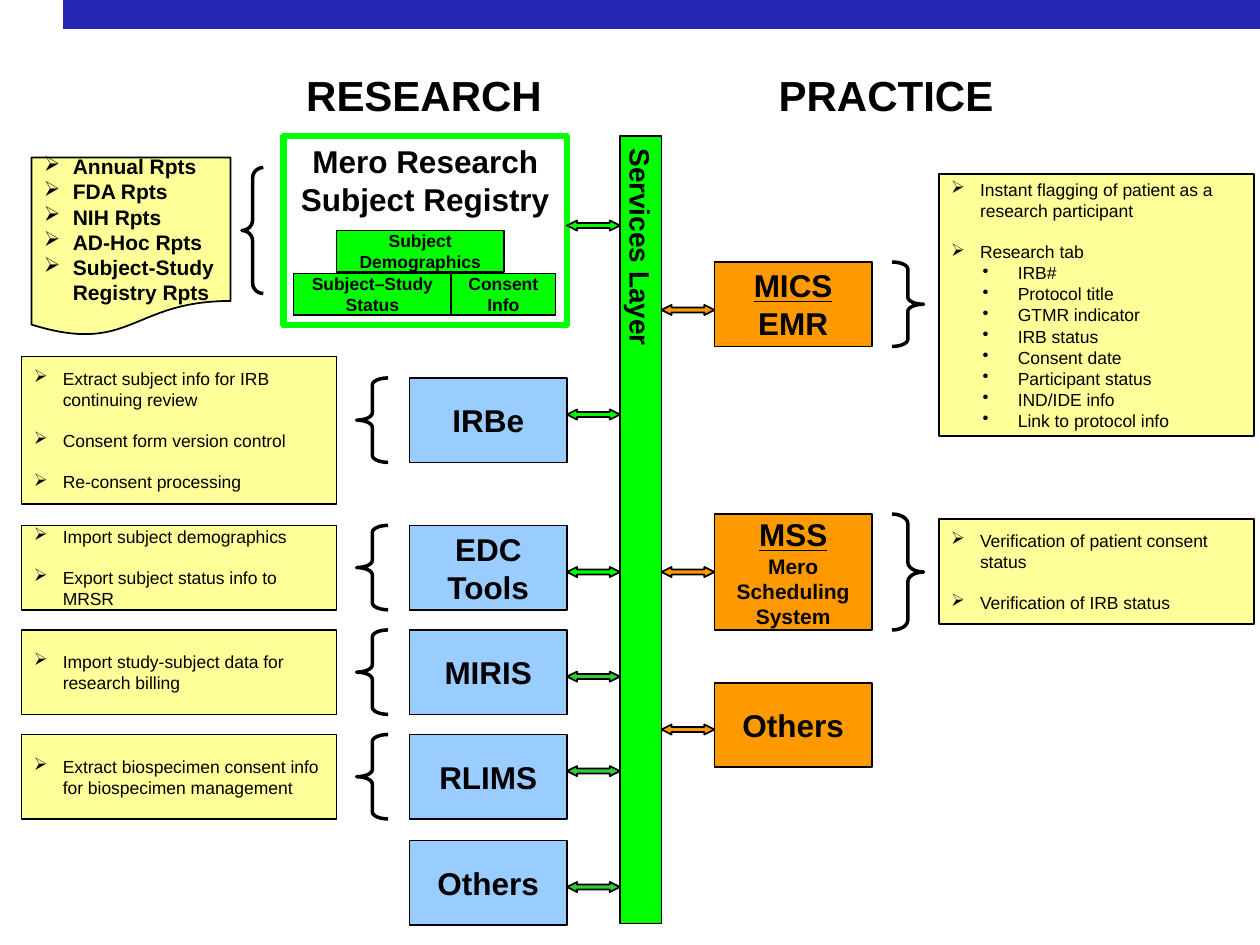
import pptx
import pptx.util
import pptx.dml.color
import pptx.enum.shapes
import pptx.enum.text
import pptx.oxml.ns
import lxml.etree

Inches = pptx.util.Inches
Pt = pptx.util.Pt
SHAPE = pptx.enum.shapes.MSO_SHAPE
ALIGN = pptx.enum.text.PP_ALIGN
ANCHOR = pptx.enum.text.MSO_ANCHOR
qn = pptx.oxml.ns.qn

COLORS = {
    "band": "2727B3", "ink": "000000", "hub": "00FF00", "link": "33CC33",
    "note": "FFFF99", "research": "99CCFF", "practice": "FF9900",
}

# placeholder index, text, left
HEADINGS = [(1, "RESEARCH", 2.33), (3, "PRACTICE", 6.08)]

REGISTRY = ("Mero Research Subject Registry", (2.25, 1.08, 2.25, 1.5))
REGISTRY_PARTS = [
    ("Subject Demographics", (2.67, 1.83, 1.33, 0.33)),
    ("Subject–Study Status", (2.33, 2.17, 1.25, 0.33)),
    ("Consent Info", (3.58, 2.17, 0.83, 0.33)),
]
REPORTS = ["Annual Rpts", "FDA Rpts", "NIH Rpts", "AD-Hoc Rpts", "Subject-Study Registry Rpts"]

# name, top, notes, notes top, notes height
RESEARCH_SYSTEMS = [
    ("IRBe", 3, ["Extract subject info for IRB continuing review",
                 "Consent form version control", "Re-consent processing"], 2.83, 1.17),
    ("EDC Tools", 4.17, ["Import subject demographics",
                         "Export subject status info to MRSR"], 4.17, 0.67),
    ("MIRIS", 5, ["Import study-subject data for research billing"], 5, 0.67),
    ("RLIMS", 5.83, ["Extract biospecimen consent info for biospecimen management"], 5.83, 0.67),
    ("Others", 6.67, [], 0, 0),
]
RESEARCH_TAB = ["IRB#", "Protocol title", "GTMR indicator", "IRB status", "Consent date",
                "Participant status", "IND/IDE info", "Link to protocol info"]

# name, subtitle, subtitle size, top, height, notes, notes top, notes height
PRACTICE_SYSTEMS = [
    ("MICS", "EMR", 18, 2.08, 0.67,
     ["Instant flagging of patient as a research participant", "Research tab", RESEARCH_TAB],
     1.38, 2.08),
    ("MSS", "Mero Scheduling System", 12, 4.08, 0.92,
     ["Verification of patient consent status", "Verification of IRB status"], 4.12, 0.83),
    ("Others", "", 18, 5.42, 0.67, [], 0, 0),
]

# colour, left, tops
LINKS = [
    ("hub", 4.5, [1.75, 3.25, 4.5]),
    ("link", 4.5, [5.33, 6.08, 7]),
    ("practice", 5.25, [2.42, 4.5, 5.75]),
]


def rgb(color):
    return pptx.dml.color.RGBColor.from_string(COLORS[color])


def add_box(place, fill=None, line="ink", width=1, kind=SHAPE.FLOWCHART_PROCESS):
    box = slide.shapes.add_shape(kind, *map(Inches, place))
    box.shadow.inherit = False
    if fill:
        box.fill.solid()
        box.fill.fore_color.rgb = rgb(fill)
    else:
        box.fill.background()
    if line:
        box.line.color.rgb = rgb(line)
        box.line.width = Pt(width)
    else:
        box.line.fill.background()
    return box


def set_frame(shape, anchor=ANCHOR.MIDDLE):
    layout = {"word_wrap": True, "vertical_anchor": anchor,
              "auto_size": pptx.enum.text.MSO_AUTO_SIZE.NONE,
              "margin_left": Inches(0.1), "margin_right": Inches(0.1),
              "margin_top": Inches(0.05), "margin_bottom": Inches(0.05)}
    for name, value in layout.items():
        setattr(shape.text_frame, name, value)


def write_line(shape, text, size, align=ALIGN.CENTER, bold=True, underline=False):
    """Fill the empty first paragraph, or append one, and return it."""
    frame = shape.text_frame
    paragraph = frame.paragraphs[0] if not frame.text else frame.add_paragraph()
    paragraph.alignment = align
    paragraph.space_before = Pt(0)
    run = paragraph.add_run()
    run.text = text
    look = {"name": "Arial", "size": Pt(size), "bold": bold, "underline": underline}
    for name, value in look.items():
        setattr(run.font, name, value)
    run.font.color.rgb = rgb("ink")
    return paragraph


def write_bullet(shape, text, size, bold, mark, left, hanging):
    paragraph = write_line(shape, text, size, ALIGN.LEFT, bold)
    properties = paragraph._p.get_or_add_pPr()
    properties.set("marL", str(Inches(left)))
    properties.set("indent", str(-Inches(hanging)))
    bullet_color = lxml.etree.SubElement(properties, qn("a:buClr"))
    lxml.etree.SubElement(bullet_color, qn("a:srgbClr"), val=COLORS["ink"])
    lxml.etree.SubElement(properties, qn("a:buChar"), char=mark)
    return paragraph


def write_notes(shape, notes, size=10, bold=False, gap=11.5):
    """Write arrow bullets a gap apart; a nested list becomes dot bullets."""
    set_frame(shape)
    for index, note in enumerate(notes):
        if isinstance(note, list):
            for item in note:
                write_bullet(shape, item, size, bold, "•", 0.53, 0.28)
        else:
            paragraph = write_bullet(shape, note, size, bold, "➢", 0.23, 0.23)
            paragraph.space_before = Pt(gap if index else 0)


def add_label(place, fill, text, size, **look):
    box = add_box(place, fill)
    set_frame(box)
    write_line(box, text, size, **look)
    return box


def add_brace(kind, left, top, width, height):
    brace = add_box((left, top, width, height), width=2, kind=kind)
    brace.adjustments[0] = height / 12 / width


prs = pptx.Presentation()
prs.slide_width, prs.slide_height = Inches(10), Inches(7.5)
slide = prs.slides.add_slide(prs.slide_layouts.get_by_name("Comparison"))

headings = {index: (text, left) for index, text, left in HEADINGS}
for holder in list(slide.placeholders):
    index = holder.placeholder_format.idx
    if index not in headings:
        holder._element.getparent().remove(holder._element)
        continue
    text, left = headings[index]
    holder.left, holder.top, holder.width, holder.height = map(Inches, (left, 0.5, 2.08, 0.5))
    set_frame(holder, ANCHOR.TOP)
    write_line(holder, text, 24, ALIGN.LEFT)

add_box((0.5, 0, 9.5, 0.23), "band", line=None)

services = add_label((4.92, 1.08, 0.33, 6.25), "hub", "Services Layer", 16)
services.text_frame.margin_left = services.text_frame.margin_right = Inches(0.05)
services.text_frame._txBody.bodyPr.set("vert", "eaVert")

registry_name, registry_place = REGISTRY
registry = add_box(registry_place, line="hub", width=3.5)
set_frame(registry, ANCHOR.TOP)
write_line(registry, registry_name, 18)
for text, place in REGISTRY_PARTS:
    add_label(place, "hub", text, 10)

reports = add_box((0.25, 1.25, 1.58, 1.42), "note", kind=SHAPE.FLOWCHART_DOCUMENT)
write_notes(reports, REPORTS, size=12, bold=True, gap=0)
add_brace(SHAPE.LEFT_BRACE, 1.92, 1.33, 0.17, 1)

for name, top, notes, notes_top, notes_height in RESEARCH_SYSTEMS:
    add_label((3.25, top, 1.25, 0.67), "research", name, 18)
    if notes:
        write_notes(add_box((0.17, notes_top, 2.5, notes_height), "note"), notes)
        add_brace(SHAPE.LEFT_BRACE, 2.83, top, 0.25, 0.67)

for name, subtitle, size, top, height, notes, notes_top, notes_height in PRACTICE_SYSTEMS:
    system = add_label((5.67, top, 1.25, height), "practice", name, 18, underline=bool(subtitle))
    if subtitle:
        write_line(system, subtitle, size)
    if notes:
        write_notes(add_box((7.45, notes_top, 2.5, notes_height), "note"), notes)
        add_brace(SHAPE.RIGHT_BRACE, 7.08, top, 0.25, height)

for color, left, tops in LINKS:
    for top in tops:
        link = add_box((left, top, 0.42, 0.08), color, kind=SHAPE.LEFT_RIGHT_ARROW)
        link.adjustments[1] = 1

prs.save("out.pptx")
